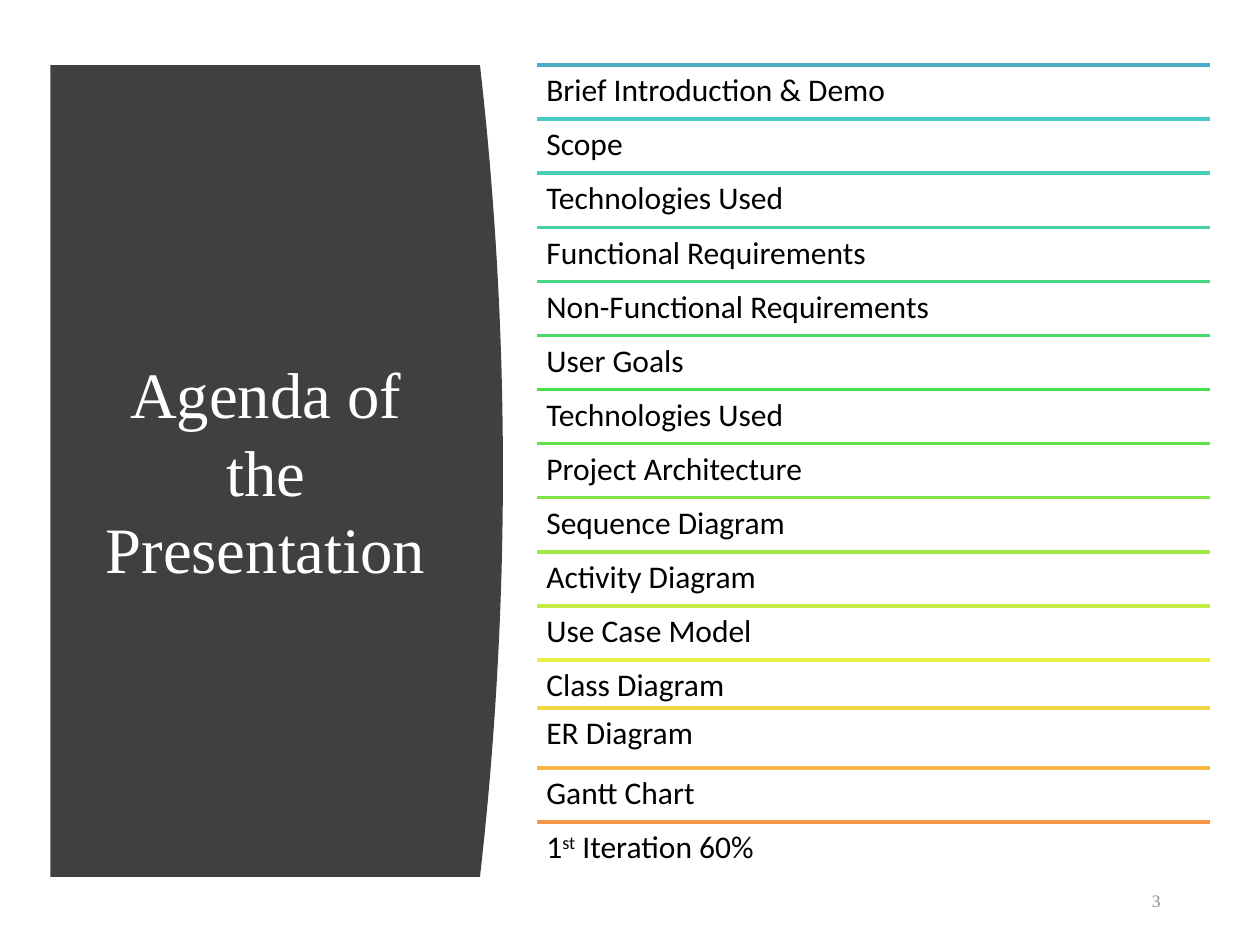
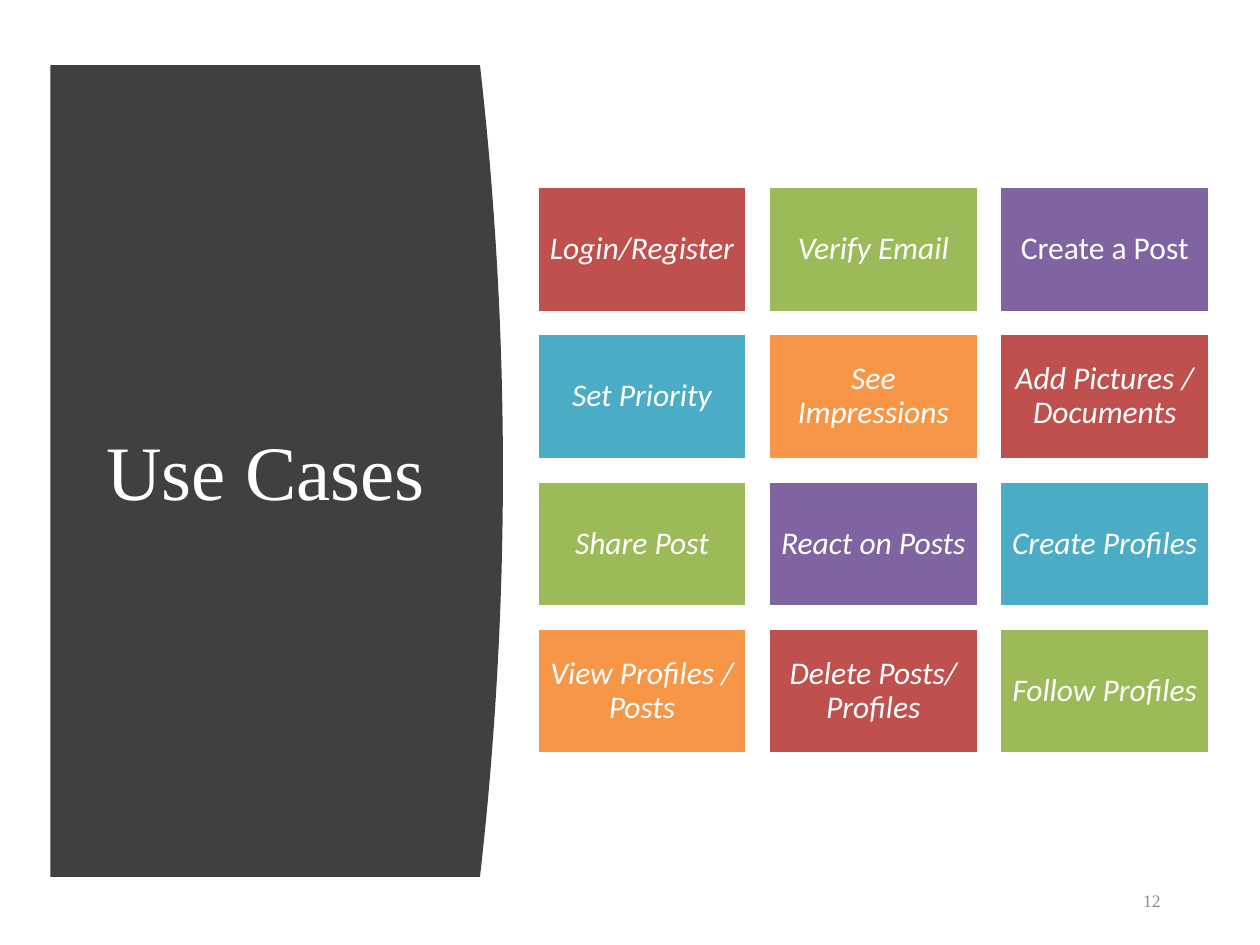
from colorsys import hls_to_rgb, rgb_to_hls

from lxml.etree import SubElement
from pptx import Presentation
from pptx.dml.color import RGBColor
from pptx.enum.shapes import MSO_CONNECTOR, MSO_SHAPE
from pptx.enum.text import MSO_ANCHOR, MSO_AUTO_SIZE, PP_ALIGN
from pptx.oxml.ns import qn
from pptx.util import Pt

WHITE = RGBColor(0xFF, 0xFF, 0xFF)
BLACK = RGBColor(0x00, 0x00, 0x00)
CHARCOAL = RGBColor(0x40, 0x40, 0x40)
GREY = RGBColor(0x8C, 0x8C, 0x8C)
RED = RGBColor(0xC0, 0x50, 0x4D)
GREEN = RGBColor(0x9B, 0xBB, 0x59)
PURPLE = RGBColor(0x80, 0x64, 0xA2)
TEAL = RGBColor(0x4B, 0xAC, 0xC6)
ORANGE = RGBColor(0xF7, 0x96, 0x46)

SERIF = "Times New Roman"
SANS = "Calibri"
PANEL_LEFT, PANEL_TOP, PANEL_EDGE, PANEL_BOTTOM = 28.8, 37.2, 274.3, 501.1
PANEL_BULGE = 13.1
CURVE_STEPS = 40
CONTENT_LEFT, CONTENT_RIGHT = 306.8, 691.2


def write_text(shape, text, font=SANS, size=18, color=BLACK, italic=False,
               align=PP_ALIGN.LEFT, anchor=MSO_ANCHOR.TOP, inset=None,
               line_spacing=None, space_after=0):
    frame = shape.text_frame
    frame.word_wrap = True
    frame.auto_size = MSO_AUTO_SIZE.NONE
    frame.vertical_anchor = anchor
    if inset is not None:
        frame.margin_left = frame.margin_right = Pt(inset)
        frame.margin_top = frame.margin_bottom = Pt(inset)
    paragraph = frame.paragraphs[0]
    paragraph.alignment = align
    paragraph.line_spacing = line_spacing
    paragraph.space_after = Pt(space_after)
    for index, part in enumerate(text.split("^")):
        run = paragraph.add_run()
        run.text = part
        run.font.name = font
        run.font.size = Pt(size)
        run.font.color.rgb = color
        run.font.italic = italic
        if index % 2:
            run._r.get_or_add_rPr().set("baseline", "30000")


def add_panel_slide(presentation, title, title_size, number):
    slide = presentation.slides.add_slide(presentation.slide_layouts[5])
    curve = []
    for step in range(CURVE_STEPS + 1):
        share = step / CURVE_STEPS
        curve.append((Pt(PANEL_EDGE + PANEL_BULGE * 4 * share * (1 - share)),
                      Pt(PANEL_TOP + (PANEL_BOTTOM - PANEL_TOP) * share)))
    builder = slide.shapes.build_freeform(Pt(PANEL_LEFT), Pt(PANEL_TOP))
    builder.add_line_segments(curve + [(Pt(PANEL_LEFT), Pt(PANEL_BOTTOM))])
    panel = builder.convert_to_shape()
    panel.shadow.inherit = False
    panel.fill.solid()
    panel.fill.fore_color.rgb = CHARCOAL
    panel.line.fill.background()

    heading = slide.shapes.title
    heading._element.addprevious(panel._element)
    heading.left, heading.top = Pt(51), Pt(80)
    heading.width, heading.height = Pt(201.6), Pt(377.3)
    write_text(heading, title, font=SERIF, size=title_size, color=WHITE,
               align=PP_ALIGN.CENTER, anchor=MSO_ANCHOR.MIDDLE)

    number_box = slide.shapes.add_textbox(Pt(633.6), Pt(500.4), Pt(36.7), Pt(28.8))
    write_text(number_box, number, font=SERIF, size=10, color=GREY,
               align=PP_ALIGN.RIGHT, anchor=MSO_ANCHOR.MIDDLE, space_after=6)
    return slide


presentation = Presentation()
presentation.slide_width, presentation.slide_height = Pt(720), Pt(540)

agenda_slide = add_panel_slide(presentation, "Agenda of the Presentation", 37, "3")
agenda_items = [
    "Brief Introduction & Demo", "Scope", "Technologies Used",
    "Functional Requirements", "Non-Functional Requirements", "User Goals",
    "Technologies Used", "Project Architecture", "Sequence Diagram",
    "Activity Diagram", "Use Case Model", "Class Diagram", "ER Diagram",
    "Gantt Chart", "1^st^ Iteration 60%",
]
ROW_STEP = 30.9
RAISED_ROWS = {"ER Diagram": 3.4}
first_hls = rgb_to_hls(*(channel / 255 for channel in TEAL))
last_hls = rgb_to_hls(*(channel / 255 for channel in ORANGE))
agenda = agenda_slide.shapes.add_group_shape()
for index, item in enumerate(agenda_items):
    top = PANEL_TOP + index * ROW_STEP - RAISED_ROWS.get(item, 0)
    share = index / (len(agenda_items) - 1)
    hls = [first + (last - first) * share for first, last in zip(first_hls, last_hls)]
    divider = agenda.shapes.add_connector(
        MSO_CONNECTOR.STRAIGHT, Pt(CONTENT_LEFT), Pt(top), Pt(CONTENT_RIGHT), Pt(top))
    divider.line.width = Pt(2)
    divider.line.color.rgb = RGBColor(*(round(channel * 255) for channel in hls_to_rgb(*hls)))
    SubElement(divider._element.spPr, qn("a:effectLst"))
    row = agenda.shapes.add_textbox(
        Pt(CONTENT_LEFT), Pt(top), Pt(CONTENT_RIGHT - CONTENT_LEFT), Pt(ROW_STEP))
    write_text(row, item, inset=5.4, line_spacing=0.9, space_after=6.3)

use_case_slide = add_panel_slide(presentation, "Use Cases", 44, "12")
use_cases = [
    "Login/Register", "Verify Email", "Create a Post",
    "Set Priority", "See Impressions", "Add Pictures / Documents",
    "Share Post", "React on Posts", "Create Profiles",
    "View Profiles / Posts", "Delete Posts/ Profiles", "Follow Profiles",
]
UPRIGHT_CASES = {"Create a Post"}
TILE_COLORS = [RED, GREEN, PURPLE, TEAL, ORANGE]
COLUMNS = 3
TILE_TOP, TILE_WIDTH, TILE_HEIGHT, TILE_GAP = 106.6, 120.2, 72.1, 12
tiles = use_case_slide.shapes.add_group_shape()
for index, use_case in enumerate(use_cases):
    row, column = divmod(index, COLUMNS)
    tile = tiles.shapes.add_shape(
        MSO_SHAPE.RECTANGLE,
        Pt(CONTENT_LEFT + column * (TILE_WIDTH + TILE_GAP)),
        Pt(TILE_TOP + row * (TILE_HEIGHT + TILE_GAP)),
        Pt(TILE_WIDTH), Pt(TILE_HEIGHT))
    tile.shadow.inherit = False
    tile.fill.solid()
    tile.fill.fore_color.rgb = TILE_COLORS[index % len(TILE_COLORS)]
    tile.line.color.rgb = WHITE
    tile.line.width = Pt(2)
    write_text(tile, use_case, color=WHITE, italic=use_case not in UPRIGHT_CASES,
               align=PP_ALIGN.CENTER, anchor=MSO_ANCHOR.MIDDLE, inset=5,
               line_spacing=0.9, space_after=6.3)

presentation.save("out.pptx")
